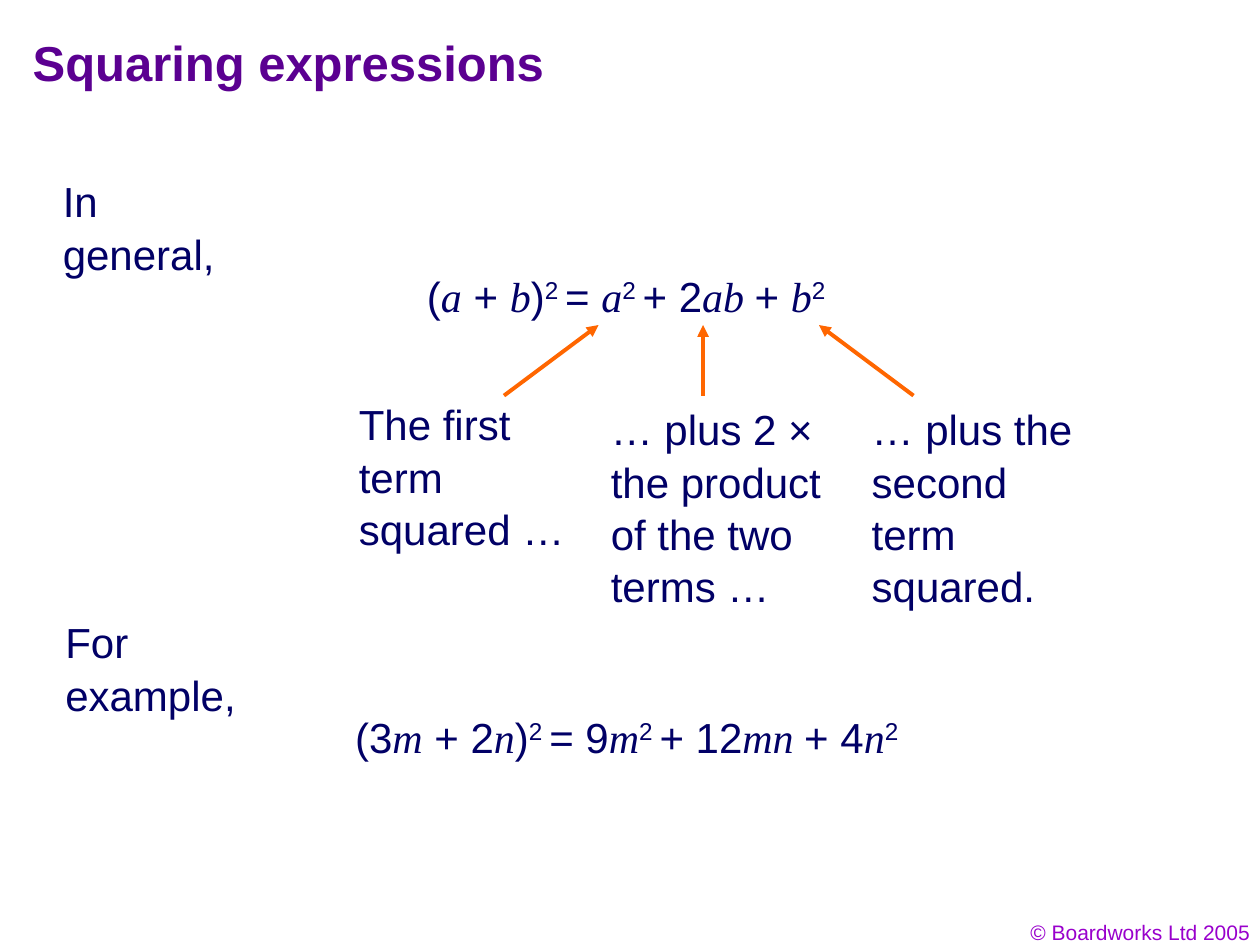
from pptx import Presentation
from pptx.dml.color import RGBColor
from pptx.enum.shapes import MSO_CONNECTOR
from pptx.enum.text import MSO_ANCHOR, PP_ALIGN
from pptx.oxml.ns import qn
from pptx.util import Inches, Pt
from lxml import etree

STRAIGHT = MSO_CONNECTOR.STRAIGHT
MIDDLE = MSO_ANCHOR.MIDDLE
LEFT, RIGHT = PP_ALIGN.LEFT, PP_ALIGN.RIGHT

TITLE = dict(name="Arial", size=Pt(28), bold=True, color="5B0091")
BODY = dict(name="Arial", size=Pt(24), color="010066")
VARIABLE = dict(BODY, name="Times New Roman", italic=True)
CREDIT = dict(name="Arial", size=Pt(12), color="9900CC")
ARROW = "FF6600"


def rgb(value):
    return RGBColor.from_string(value)


def add_run(p, text, style):
    r = p.add_run()
    r.text = text
    for key, value in style.items():
        if key == "color":
            r.font.color.rgb = rgb(value)
        else:
            setattr(r.font, key, value)
    return r


def add_text(slide, box, text="", style=BODY, align=LEFT, wrap=True, spacing=1.04):
    tf = slide.shapes.add_textbox(*map(Inches, box)).text_frame
    tf.word_wrap = wrap
    p = tf.paragraphs[0]
    p.alignment = align
    p.line_spacing = spacing
    if text:
        add_run(p, text, style)
    return p


def add_title(slide, box, text):
    title = slide.shapes.title
    title.left, title.top, title.width, title.height = map(Inches, box)
    tf = title.text_frame
    tf.vertical_anchor = MIDDLE
    p = tf.paragraphs[0]
    p.alignment = LEFT
    add_run(p, text, TITLE)


def add_formula(slide, box, parts):
    """Write parts, where _ opens a variable and ^ opens a superscript."""
    p = add_text(slide, box, wrap=False)
    for part in parts:
        r = add_run(p, part.lstrip("_^"), VARIABLE if part[0] == "_" else BODY)
        if part[0] == "^":
            r.font._element.set("baseline", "30000")


def add_arrow(slide, start, end):
    line = slide.shapes.add_connector(STRAIGHT, *map(Inches, start + end))
    line.line.color.rgb = rgb(ARROW)
    line.line.width = Pt(2.25)
    etree.SubElement(line.line._get_or_add_ln(), qn("a:tailEnd"), type="triangle")
    etree.SubElement(line._element.spPr, qn("a:effectLst"))


def add_explanations(slide, left, top):
    """Three notes, each with an arrow up to its term of the formula."""
    notes = [
        (0, 0, 1.3, "The first term squared …", 1.25, 2),
        (2, 0.04, 1.7, "… plus 2 × the product of the two terms …", 2.83, 2.83),
        (4.07, 0.04, 1.7, "… plus the second term squared.", 4.5, 3.75),
    ]
    for dx, dy, height, text, tail_x, head_x in notes:
        add_text(slide, (left + dx, top + dy, 1.93, height), text)
        if dx == 0:
            tail_x, head_x = 1.25, 2
        add_arrow(slide, (left + tail_x, top + 0.04), (left + head_x, top - 0.52))


def main():
    prs = Presentation()
    prs.slide_width, prs.slide_height = Inches(10), Inches(7.5)
    slide = prs.slides.add_slide(prs.slide_layouts[5])

    add_text(slide, (7.69, 7.25, 2.33, 0.3), "© Boardworks Ltd 2005", CREDIT, RIGHT,
             spacing=1)
    add_title(slide, (0.16, 0.16, 8.5, 0.67), "Squaring expressions")

    add_text(slide, (0.4, 1.33, 1.77, 0.5), "In general,", wrap=False)
    add_formula(slide, (3.29, 2.08, 3.41, 0.5),
                ["(", "_a", " + ", "_b", ")", "^2 ", "= ", "_a", "^2 ", "+ 2",
                 "_ab ", "+ ", "_b", "^2"])
    add_explanations(slide, 2.75, 3.1)

    add_text(slide, (0.42, 4.83, 2.14, 0.5), "For example,", wrap=False)
    add_formula(slide, (2.72, 5.58, 4.56, 0.5),
                ["(3", "_m", " + 2", "_n", ")", "^2 ", "= 9", "_m", "^2 ", "+ 12",
                 "_mn ", "+ 4", "_n", "^2"])
    prs.save("out.pptx")


if __name__ == "__main__":
    main()
